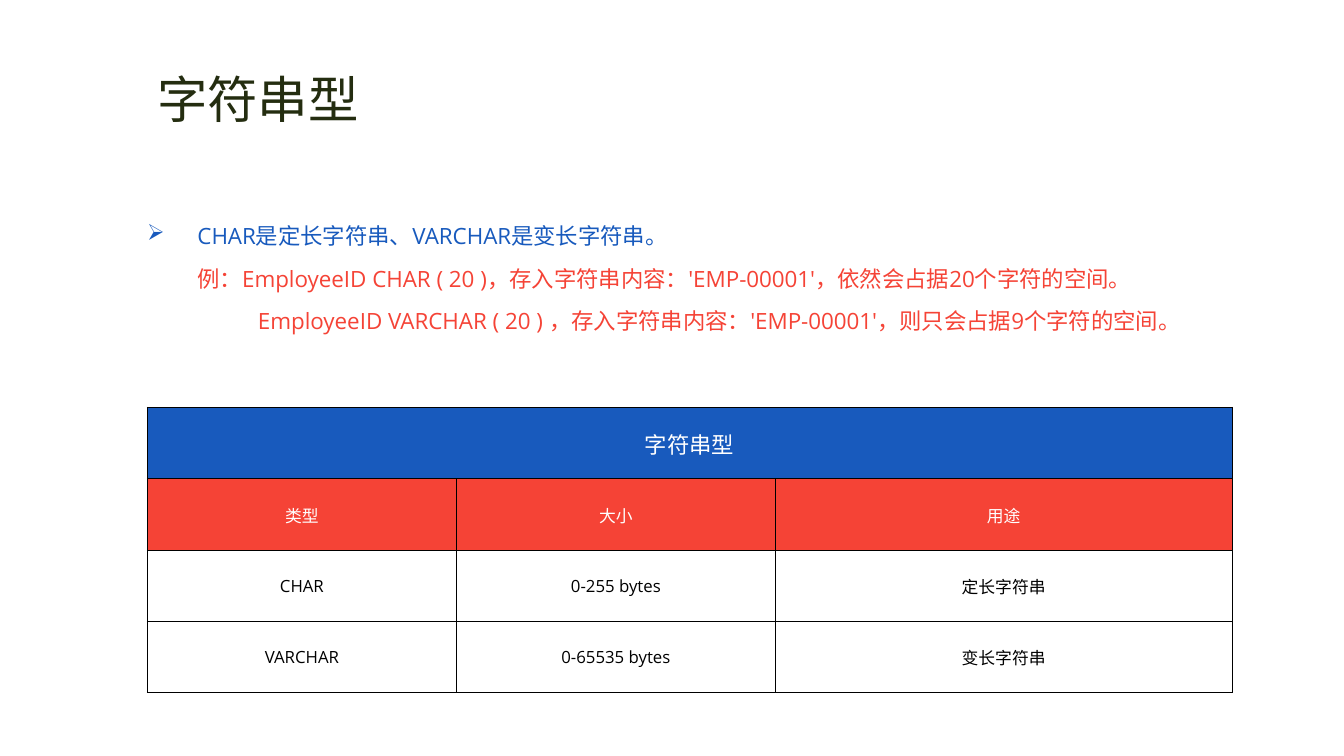
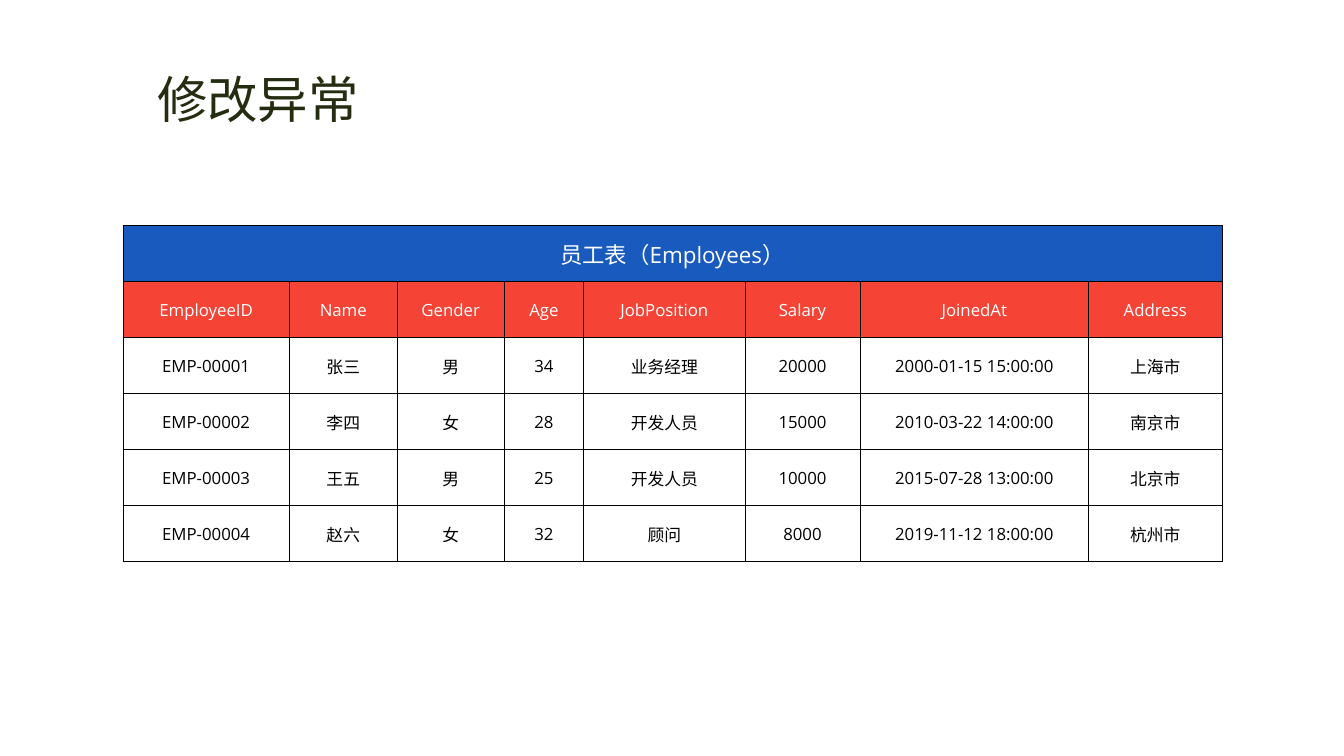
from pptx import Presentation
from pptx.dml.color import RGBColor
from pptx.enum.text import MSO_ANCHOR as Anchor, MSO_AUTO_SIZE as Auto, PP_ALIGN as Align
from pptx.util import Inches, Pt
from pptx.oxml import parse_xml
from pptx.oxml.ns import nsdecls
from lxml.etree import SubElement
from pptx.oxml.ns import qn

OLIVE = RGBColor(0x24, 0x2D, 0x10)
BLUE = RGBColor(0x18, 0x5A, 0xBD)
RED = RGBColor(0xF5, 0x43, 0x36)
WHITE = RGBColor(0xFF, 0xFF, 0xFF)
BLACK = RGBColor(0, 0, 0)
FACE = "Open Sans"

TITLE = dict(name=FACE, size=Pt(36), bold=False)
NOTE = dict(name=FACE, size=Pt(16), bold=False)
CELL = dict(name=FACE, size=Pt(12), bold=False)
INSET = dict(margin_left=Inches(0.01), margin_right=Inches(0.01),
             margin_top=Inches(0.01), margin_bottom=0,
             vertical_anchor=Anchor.MIDDLE)

NOTES = [
    ("CHAR是定长字符串、VARCHAR是变长字符串。", BLUE, 0.5, -0.5, "➢"),
    ("例：EmployeeID CHAR ( 20 )，存入字符串内容：'EMP-00001'，依然会占据20个字符的空间。",
     RED, 0, 0.5, None),
    ("EmployeeID VARCHAR ( 20 ) ，存入字符串内容：'EMP-00001'，则只会占据9个字符的空间。",
     RED, 0, 1.1, None),
]

SLIDES = [
    dict(
        title="字符串型",
        box=(1.46, 4.04, 2.83),
        cols=[3.07, 3.16, 4.53],
        head="字符串型",
        rows=[
            ["类型", "大小", "用途"],
            ["CHAR", "0-255 bytes", "定长字符串"],
            ["VARCHAR", "0-65535 bytes", "变长字符串"],
        ],
        notes=NOTES,
    ),
    dict(
        title="修改异常",
        box=(1.22, 2.24, 3.33),
        cols=[1.65, 1.07, 1.06, 0.79, 1.6, 1.14, 2.27, 1.32],
        head="员工表（Employees）",
        rows=[
            ["EmployeeID", "Name", "Gender", "Age", "JobPosition", "Salary", "JoinedAt", "Address"],
            ["EMP-00001", "张三", "男", "34", "业务经理", "20000", "2000-01-15 15:00:00", "上海市"],
            ["EMP-00002", "李四", "女", "28", "开发人员", "15000", "2010-03-22 14:00:00", "南京市"],
            ["EMP-00003", "王五", "男", "25", "开发人员", "10000", "2015-07-28 13:00:00", "北京市"],
            ["EMP-00004", "赵六", "女", "32", "顾问", "8000", "2019-11-12 18:00:00", "杭州市"],
        ],
        notes=[],
    ),
]


def apply(item, values):
    for key, value in values.items():
        setattr(item, key, value)


def style(para, look, color):
    apply(para.font, look)
    para.font.color.rgb = color


def add_box(slide, at, wrap):
    box = slide.shapes.add_textbox(*map(Inches, at))
    frame = box.text_frame
    frame.word_wrap = wrap
    frame.auto_size = Auto.SHAPE_TO_FIT_TEXT
    return frame


def add_title(slide, text):
    para = add_box(slide, (1.46, 0.63, 2.22, 0.71), False).paragraphs[0]
    para.text = text
    style(para, TITLE, OLIVE)


def add_notes(slide, notes):
    frame = add_box(slide, (1.36, 1.99, 10.32, 1.34), True)
    for i, (text, color, left, first, mark) in enumerate(notes):
        para = frame.add_paragraph() if i else frame.paragraphs[0]
        para.text = text
        para.line_spacing = 1.6
        props = para._p.get_or_add_pPr()
        props.set("marL", str(Inches(left)))
        props.set("indent", str(Inches(first)))
        if mark:
            SubElement(props, qn("a:buChar")).set("char", mark)
        style(para, NOTE, color)


def add_edges(cell):
    props = cell._tc.get_or_add_tcPr()
    for side in "LRTB":
        props.append(parse_xml(
            f'<a:ln{side} {nsdecls("a")} w="{Pt(0.5)}"><a:solidFill>'
            f'<a:srgbClr val="{BLACK}"/></a:solidFill></a:ln{side}>'))


def add_grid(slide, page):
    left, top, height = page["box"]
    cols = page["cols"]
    rows = [[page["head"]] + [""] * (len(cols) - 1)] + page["rows"]
    table = slide.shapes.add_table(
        len(rows), len(cols), Inches(left), Inches(top),
        Inches(sum(cols)), Inches(height)).table
    table.first_row = table.horz_banding = False
    for col, width in zip(table.columns, cols):
        col.width = Inches(width)
    looks = [(NOTE, WHITE, BLUE), (CELL, WHITE, RED)]
    for r, row in enumerate(rows):
        look, color, fill = looks[r] if r < len(looks) else (CELL, BLACK, None)
        for c, text in enumerate(row):
            cell = table.cell(r, c)
            apply(cell, INSET)
            add_edges(cell)
            if fill is None:
                cell.fill.background()
            else:
                cell.fill.solid()
                cell.fill.fore_color.rgb = fill
            para = cell.text_frame.paragraphs[0]
            para.text = text
            para.alignment = Align.CENTER
            style(para, look, color)
    table.cell(0, 0).merge(table.cell(0, len(cols) - 1))


def main():
    deck = Presentation()
    deck.slide_width, deck.slide_height = Inches(13.33), Inches(7.5)
    for page in SLIDES:
        slide = deck.slides.add_slide(deck.slide_layouts[6])
        add_title(slide, page["title"])
        add_grid(slide, page)
        if page["notes"]:
            add_notes(slide, page["notes"])
    deck.save("out.pptx")


if __name__ == "__main__":
    main()
